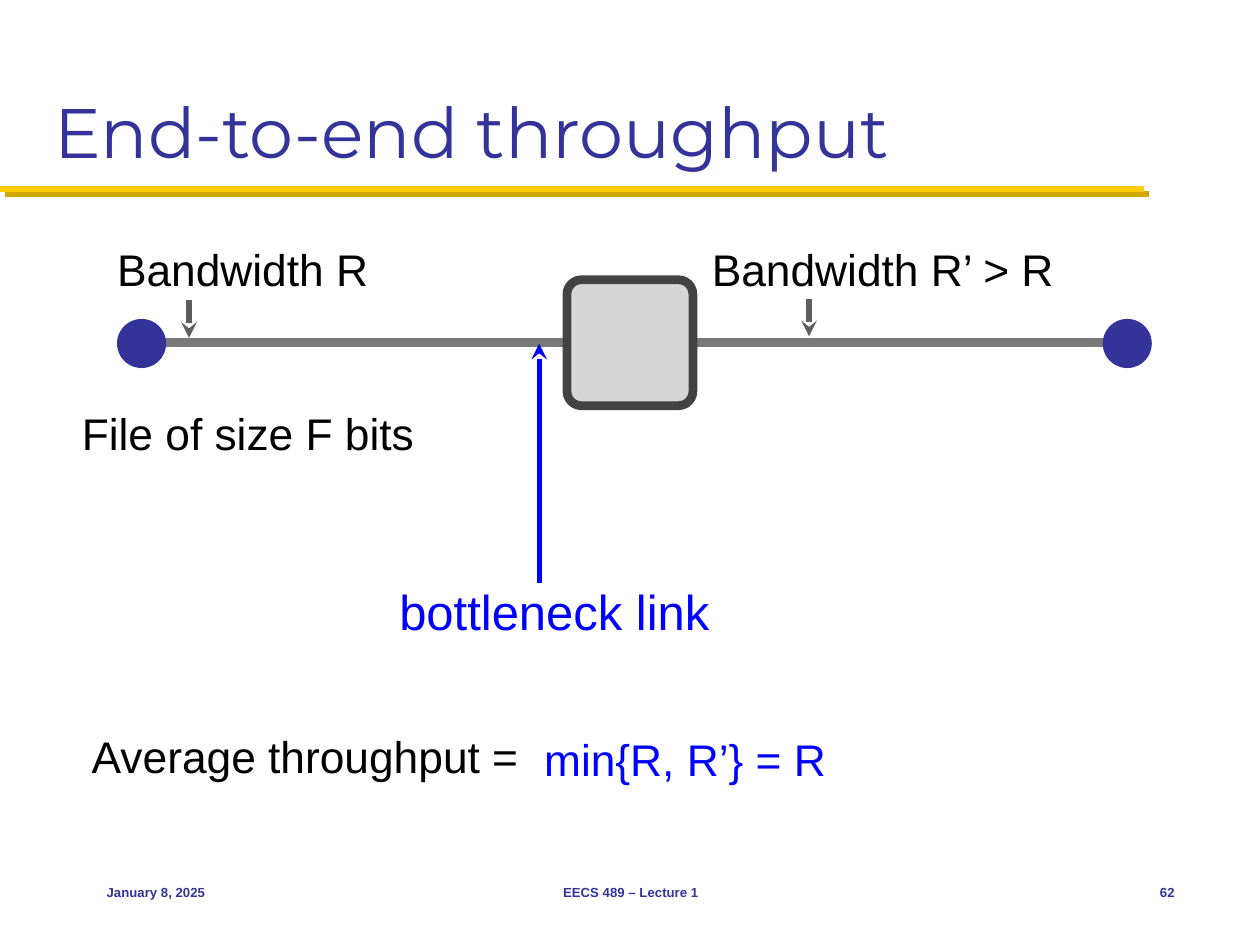
from dataclasses import dataclass

from lxml.etree import SubElement
from pptx import Presentation
from pptx.dml.color import RGBColor
from pptx.enum.shapes import MSO_CONNECTOR, MSO_SHAPE
from pptx.enum.text import MSO_ANCHOR, PP_ALIGN
from pptx.oxml.ns import qn
from pptx.util import Cm, Pt


@dataclass(frozen=True)
class Theme:
    navy: str = "333399"
    gold: str = "FFCB05"
    dark_gold: str = "D3A600"
    black: str = "000000"
    blue: str = "0000FF"
    link: str = "797979"
    pointer: str = "5E5E5E"
    router_fill: str = "D6D6D6"
    router_edge: str = "424242"
    title_font: str = "Montserrat"
    body_font: str = "Arial"
    title_size: float = 40
    label_size: float = 25.3
    callout_size: float = 28
    footer_size: float = 7.5


THEME = Theme()


def rgb(color):
    return RGBColor.from_string(color)


def add_text(slide, text, left, top, width, height=1.27, *, size=THEME.label_size,
             color=THEME.black, font=THEME.body_font, bold=False,
             align=PP_ALIGN.LEFT, anchor=MSO_ANCHOR.MIDDLE, inset=(0.1, 0.1)):
    frame = slide.shapes.add_textbox(Cm(left), Cm(top), Cm(width), Cm(height)).text_frame
    frame.word_wrap = True
    frame.vertical_anchor = anchor
    frame.margin_left = frame.margin_right = Cm(inset[0])
    frame.margin_top = frame.margin_bottom = Cm(inset[1])
    paragraph = frame.paragraphs[0]
    paragraph.alignment = align
    run = paragraph.add_run()
    run.text = text
    run.font.name = font
    run.font.size = Pt(size)
    run.font.bold = bold
    run.font.color.rgb = rgb(color)


def add_line(slide, start, end, color, weight):
    line = slide.shapes.add_connector(
        MSO_CONNECTOR.STRAIGHT, *(Cm(value) for value in (*start, *end)))
    line.line.color.rgb = rgb(color)
    line.line.width = Pt(weight)
    SubElement(line._element.spPr, qn("a:effectLst"))
    return line


def add_pointer(slide, tip, tail_y, color):
    pointer = add_line(slide, tip, (tip[0], tail_y), color, 3)
    SubElement(pointer.line._get_or_add_ln(), qn("a:headEnd"), type="stealth")


def add_title_rule(slide):
    rule = add_line(slide, (0, 3.81), (23.06, 3.81), THEME.gold, 3.5)
    effects = rule._element.spPr.find(qn("a:effectLst"))
    shadow = SubElement(effects, qn("a:outerShdw"), blurRad="0", dist=str(Pt(4.2)),
                        dir="2700000", algn="ctr", rotWithShape="0")
    SubElement(shadow, qn("a:srgbClr"), val=THEME.dark_gold)


def add_solid(slide, kind, left, top, size, fill):
    solid = slide.shapes.add_shape(kind, Cm(left), Cm(top), Cm(size), Cm(size))
    solid.shadow.inherit = False
    solid.fill.solid()
    solid.fill.fore_color.rgb = rgb(fill)
    solid.line.fill.background()
    return solid


def add_router(slide):
    router = add_solid(slide, MSO_SHAPE.ROUNDED_RECTANGLE, 11.43, 5.64, 2.54,
                       THEME.router_fill)
    router.adjustments[0] = 0.115
    router.line.color.rgb = rgb(THEME.router_edge)
    router.line.width = Pt(5)


def add_network(slide):
    add_line(slide, (3, 6.91), (22.81, 6.91), THEME.link, 5)
    for host_left in (2.36, 22.23):
        add_solid(slide, MSO_SHAPE.OVAL, host_left, 6.43, 0.99, THEME.navy)
    add_router(slide)
    add_pointer(slide, (3.81, 6.81), 6.05, THEME.pointer)
    add_pointer(slide, (16.31, 6.78), 6.02, THEME.pointer)
    add_text(slide, "Bandwidth R", 2.26, 4.78, 8.31)
    add_text(slide, "Bandwidth R’ > R", 14.25, 4.78, 10.72)
    add_text(slide, "File of size F bits", 1.55, 8.08, 8.48)


def add_bottleneck(slide):
    add_text(slide, "bottleneck link", 7.9, 11.58, 11.43, 1.47,
             size=THEME.callout_size, color=THEME.blue, inset=(0.15, 0.15))
    add_pointer(slide, (10.87, 6.93), 11.76, THEME.blue)


def add_footer(slide):
    for text, left, width, align in (
        ("January 8, 2025", 1.9, 5.28, PP_ALIGN.LEFT),
        ("EECS 489 – Lecture 1", 8.69, 8.05, PP_ALIGN.CENTER),
        ("62", 22.23, 1.7, PP_ALIGN.RIGHT),
    ):
        add_text(slide, text, left, 17.35, width, size=THEME.footer_size,
                 color=THEME.navy, bold=True, align=align, inset=(0.25, 0.13))


def main():
    deck = Presentation()
    deck.slide_width, deck.slide_height = Cm(25.4), Cm(19.05)
    slide = deck.slides.add_slide(deck.slide_layouts[6])
    add_title_rule(slide)
    add_text(slide, "End-to-end throughput", 0.84, 0.43, 23.7, 3.18,
             size=THEME.title_size, color=THEME.navy, font=THEME.title_font,
             anchor=MSO_ANCHOR.BOTTOM, inset=(0.25, 0.13))
    add_network(slide)
    add_text(slide, "Average throughput =", 1.75, 14.6, 12.42)
    add_text(slide, "min{R, R’} = R", 10.87, 14.66, 6.07, color=THEME.blue)
    add_bottleneck(slide)
    add_footer(slide)
    deck.save("out.pptx")


if __name__ == "__main__":
    main()
